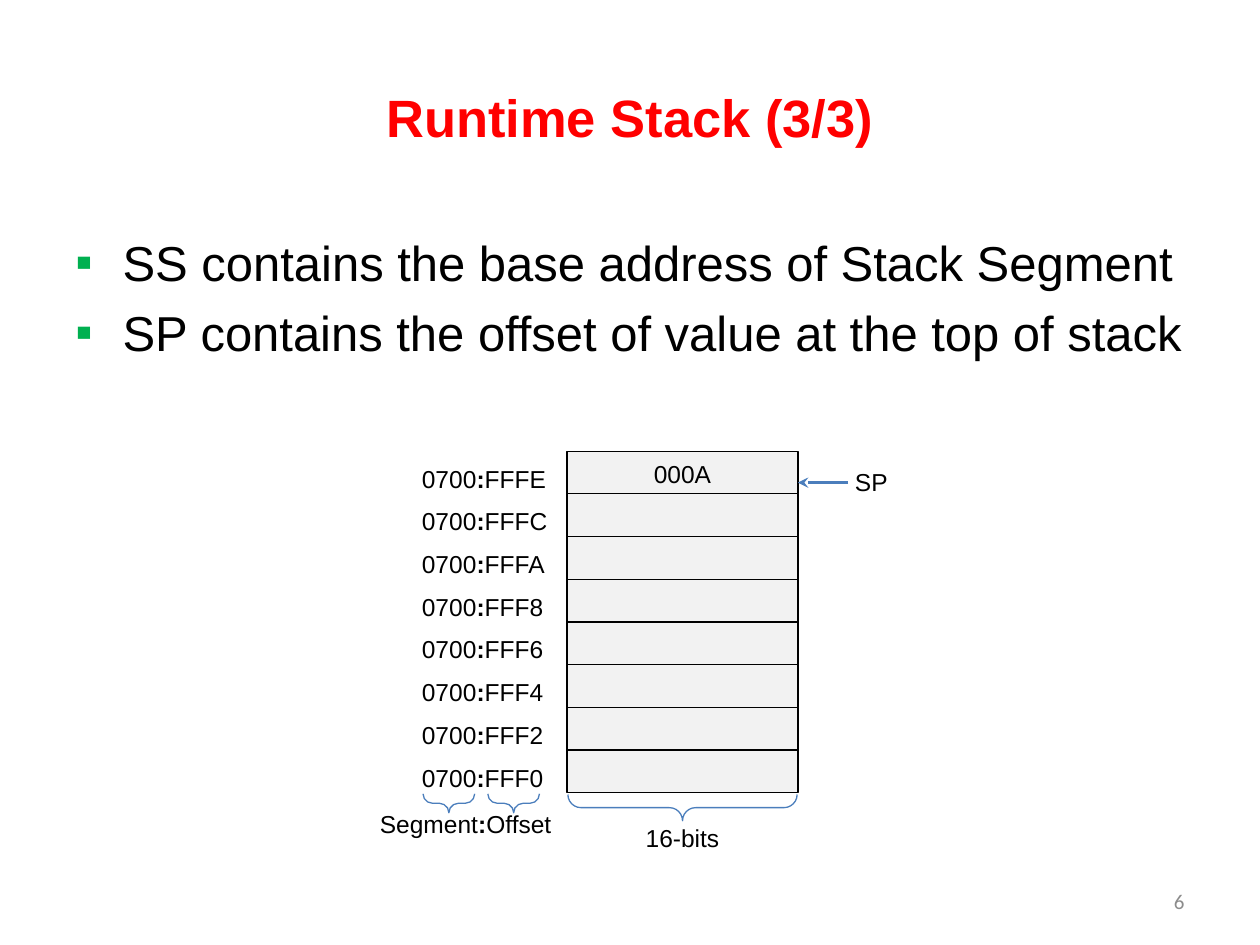
from lxml.etree import SubElement
from pptx import Presentation
from pptx.dml.color import RGBColor
from pptx.enum.shapes import MSO_CONNECTOR, MSO_SHAPE
from pptx.enum.text import MSO_ANCHOR, PP_ALIGN
from pptx.oxml.ns import qn
from pptx.util import Pt

BLACK, RED, GREEN, BLUE = "000000", "FF0000", "00B050", "4B7EBC"
CELL_FILL, NUMBER_GRAY = "F2F2F2", "8C8C8C"
STACK_LEFT, STACK_TOP, CELL_WIDTH, CELL_HEIGHT = 324, 257.8, 132, 24.4
OFFSETS = ["FFFE", "FFFC", "FFFA", "FFF8", "FFF6", "FFF4", "FFF2", "FFF0"]
BULLETS = ["SS contains the base address of Stack Segment",
           "SP contains the offset of value at the top of stack"]


def color(hex_string):
    return RGBColor.from_string(hex_string)


def apply_format(target, values):
    for name, value in values.items():
        setattr(target, name, value)


class StackSlide:
    """Holds the text style and the slide being drawn."""

    def __init__(self, presentation):
        self.slide = presentation.slides.add_slide(presentation.slide_layouts[5])
        self.style = {"name": "Arial", "size": Pt(14)}

    def add_runs(self, paragraph, pieces, ink=BLACK, **changes):
        for piece in pieces:
            run = paragraph.add_run()
            run.text = piece
            apply_format(run.font, {**self.style, "bold": piece == ":", **changes})
            run.font.color.rgb = color(ink)

    def title(self, text, left, top, width, height):
        shape = self.slide.shapes.title
        apply_format(shape, {"left": Pt(left), "top": Pt(top),
                             "width": Pt(width), "height": Pt(height)})
        shape.text_frame.vertical_anchor = MSO_ANCHOR.MIDDLE
        paragraph = shape.text_frame.paragraphs[0]
        paragraph.alignment = PP_ALIGN.CENTER
        self.add_runs(paragraph, [text], RED, size=Pt(30), bold=True)

    def text_box(self, left, top, width, height, **frame_values):
        shape = self.slide.shapes.add_textbox(Pt(left), Pt(top), Pt(width), Pt(height))
        apply_format(shape.text_frame, {"word_wrap": True, **frame_values})
        return shape.text_frame

    def label(self, pieces, left, top, width, alignment=PP_ALIGN.LEFT):
        paragraph = self.text_box(left, top, width, 24.2).paragraphs[0]
        paragraph.alignment = alignment
        self.add_runs(paragraph, pieces)

    def bullets(self, items, left, top, width, height):
        frame = self.text_box(left, top, width, height, margin_top=Pt(6.6))
        for index, item in enumerate(items):
            paragraph = frame.add_paragraph() if index else frame.paragraphs[0]
            paragraph.space_before = Pt(6.7 if index else 0)
            properties = paragraph._p.get_or_add_pPr()
            properties.set("marL", str(Pt(27)))
            properties.set("indent", str(-Pt(27)))
            bullet_color = SubElement(properties, qn("a:buClr"))
            SubElement(bullet_color, qn("a:srgbClr"), val=GREEN)
            SubElement(properties, qn("a:buFont"), typeface="Arial")
            SubElement(properties, qn("a:buChar"), char="▪")
            self.add_runs(paragraph, [item], size=Pt(28))

    def page_number(self, text, left, top, width, height):
        frame = self.text_box(left, top, width, height, vertical_anchor=MSO_ANCHOR.MIDDLE)
        frame.paragraphs[0].alignment = PP_ALIGN.RIGHT
        self.add_runs(frame.paragraphs[0], [text], NUMBER_GRAY, name="Calibri", size=Pt(12))

    def outline(self, kind, left, top, width, height, ink):
        shape = self.slide.shapes.add_shape(kind, Pt(left), Pt(top), Pt(width), Pt(height))
        shape.shadow.inherit = False
        shape.line.color.rgb = color(ink)
        shape.line.width = Pt(0.75)
        return shape

    def cell(self, left, top):
        shape = self.outline(MSO_SHAPE.RECTANGLE, left, top, CELL_WIDTH, CELL_HEIGHT, BLACK)
        shape.fill.solid()
        shape.fill.fore_color.rgb = color(CELL_FILL)

    def brace(self, center, middle, depth, span):
        shape = self.outline(MSO_SHAPE.LEFT_BRACE, center - depth / 2, middle - span / 2,
                             depth, span, BLUE)
        shape.fill.background()
        shape.rotation = 270
        shape.adjustments[0] = 0.5

    def arrow(self, start, end, height):
        connector = self.slide.shapes.add_connector(
            MSO_CONNECTOR.STRAIGHT, Pt(start), Pt(height), Pt(end), Pt(height))
        connector.line.color.rgb = color(BLUE)
        connector.line.width = Pt(2)
        SubElement(connector.line._get_or_add_ln(), qn("a:tailEnd"), type="stealth")
        SubElement(connector._element.spPr, qn("a:effectLst"))


def main():
    presentation = Presentation()
    apply_format(presentation, {"slide_width": Pt(720), "slide_height": Pt(540)})
    page = StackSlide(presentation)
    page.title("Runtime Stack (3/3)", 36, 21.6, 648, 90)
    page.bullets(BULLETS, 36, 126, 648, 356.4)
    page.page_number("6", 516, 500.5, 168, 28.8)

    for row, offset in enumerate(OFFSETS):
        top = STACK_TOP + row * CELL_HEIGHT
        page.cell(STACK_LEFT, top)
        page.label(["0700", ":", offset], 234, top + 3.6, 88)
    page.label(["000A"], STACK_LEFT, 258.5, CELL_WIDTH, PP_ALIGN.CENTER)

    stack_center = STACK_LEFT + CELL_WIDTH / 2
    page.brace(stack_center, 461.5, 15, 131)
    page.label(["16-bits"], STACK_LEFT, 466.6, CELL_WIDTH, PP_ALIGN.CENTER)
    for center in (256.5, 293.5):
        page.brace(center, 459, 10.8, 29.5)
    page.label(["Segment", ":", "Offset"], 210, 458.6, 116)

    page.arrow(484.6, STACK_LEFT + CELL_WIDTH, 275.8)
    page.label(["SP"], 481.5, 263.5, 36)
    presentation.save("out.pptx")


if __name__ == "__main__":
    main()
